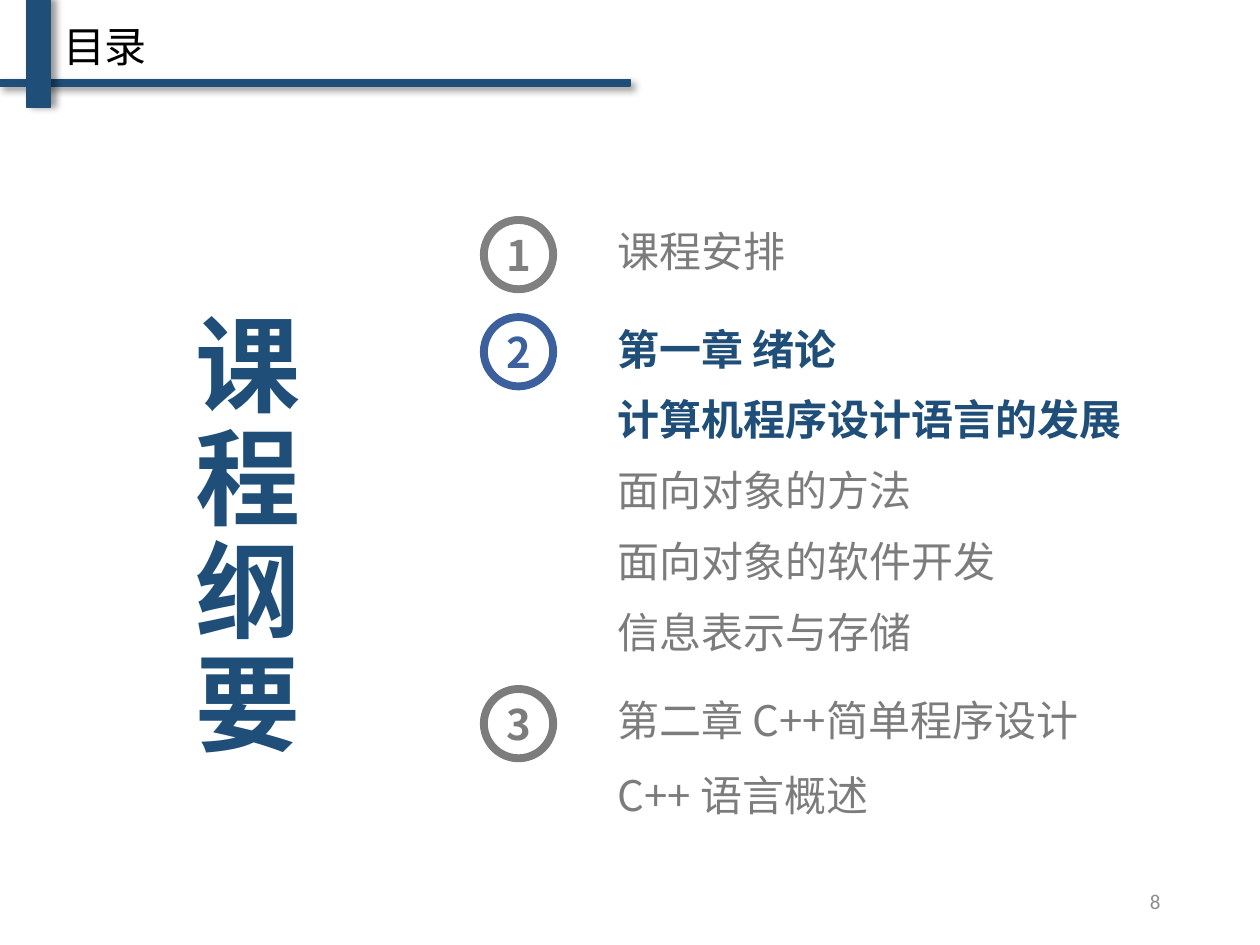
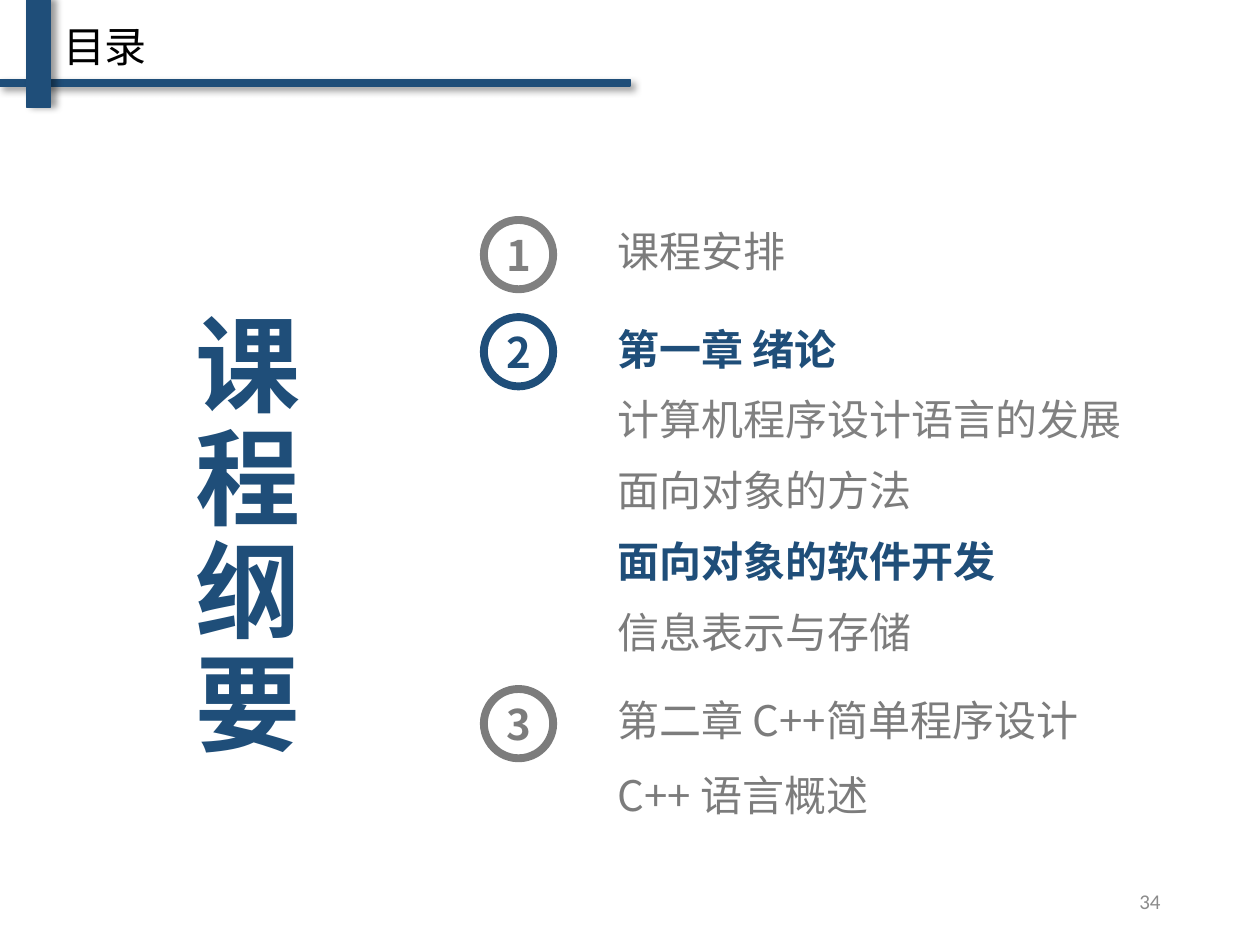
from dataclasses import dataclass

from lxml import etree
from pptx import Presentation
from pptx.dml.color import RGBColor
from pptx.enum import shapes, text
from pptx.oxml import ns
from pptx.util import Pt


@dataclass(frozen=True)
class Theme:
    navy: str = "1F4E79"
    blue: str = "3C609E"
    grey: str = "7C7C7C"
    mid_grey: str = "808080"
    page_grey: str = "8C8C8C"
    black: str = "000000"
    font: str = "Noto Sans CJK SC"
    page_font: str = "Calibri"
    heading_size: float = 60
    text_size: float = 24
    page_size: float = 12


THEME = Theme()


@dataclass(frozen=True)
class Box:
    left: float
    top: float
    width: float
    height: float

    def lengths(self) -> tuple:
        return Pt(self.left), Pt(self.top), Pt(self.width), Pt(self.height)


@dataclass(frozen=True)
class TextStyle:
    color: str
    size: float = THEME.text_size
    bold: bool = False
    font: str = THEME.font
    align: text.PP_ALIGN = text.PP_ALIGN.LEFT
    spacing: object = None


@dataclass(frozen=True)
class Band:
    box: Box
    line_width: float
    shadow_angle: int


@dataclass(frozen=True)
class Chapter:
    number: int
    top: float
    pitch: float
    lines: tuple[str, ...]


@dataclass(frozen=True)
class Agenda:
    page: int
    active_lines: tuple[str, ...]
    badge_colors: tuple[str, ...]
    mid_grey_lines: tuple[str, ...] = ()


BANDS = (
    Band(Box(0, 45.4, 360, 3.6), 1, 45),
    Band(Box(15, 0, 13.7, 61.2), 0.75, 0),
)
CHAPTERS = (
    Chapter(1, 123, 0, ("课程安排",)),
    Chapter(2, 178.5, 40.5, (
        "第一章 绪论", "计算机程序设计语言的发展", "面向对象的方法",
        "面向对象的软件开发", "信息表示与存储")),
    Chapter(3, 391, 42.5, ("第二章 C++简单程序设计", "C++ 语言概述")),
)
AGENDAS = (
    Agenda(8, ("第一章 绪论", "计算机程序设计语言的发展"),
           (THEME.mid_grey, THEME.blue, THEME.grey)),
    Agenda(34, ("第一章 绪论", "面向对象的软件开发"),
           (THEME.mid_grey, THEME.navy, THEME.grey),
           ("计算机程序设计语言的发展",)),
)
LINE_LEFT, LINE_WIDTH, LINE_HEIGHT = 345.6, 315.4, 44.6
BADGE_LEFT, BADGE_SIZE, BADGE_DROP = 276.5, 39.6, 2.7


def write(shape, words: str, style: TextStyle, anchor=text.MSO_ANCHOR.MIDDLE) -> None:
    frame = shape.text_frame
    frame.word_wrap = True
    frame.auto_size = text.MSO_AUTO_SIZE.NONE
    frame.vertical_anchor = anchor
    frame.text = words
    paragraph = frame.paragraphs[0]
    paragraph.alignment = style.align
    paragraph.line_spacing = style.spacing
    font = paragraph.font
    font.name = style.font
    font.size = Pt(style.size)
    font.bold = style.bold
    font.color.rgb = RGBColor.from_string(style.color)
    properties = paragraph._p.pPr.find(ns.qn("a:defRPr"))
    etree.SubElement(properties, ns.qn("a:ea"), typeface=style.font)


def add_text(slide, box: Box, words: str, style: TextStyle):
    shape = slide.shapes.add_textbox(*box.lengths())
    write(shape, words, style)
    return shape


def add_shadow(shape, angle: int) -> None:
    shape.shadow.inherit = False
    effects = shape._element.spPr.find(ns.qn("a:effectLst"))
    shadow = etree.SubElement(
        effects, ns.qn("a:outerShdw"), blurRad=str(Pt(4)), dist=str(Pt(3)),
        dir=str(angle * 60000), algn="tl", rotWithShape="0")
    color = etree.SubElement(shadow, ns.qn("a:srgbClr"), val=THEME.black)
    etree.SubElement(color, ns.qn("a:alpha"), val="40000")


def add_band(slide, band: Band) -> None:
    shape = slide.shapes.add_shape(shapes.MSO_SHAPE.RECTANGLE, *band.box.lengths())
    navy = RGBColor.from_string(THEME.navy)
    shape.fill.solid()
    shape.fill.fore_color.rgb = navy
    shape.line.color.rgb = navy
    shape.line.width = Pt(band.line_width)
    add_shadow(shape, band.shadow_angle)


def add_badge(slide, chapter: Chapter, color: str) -> None:
    """Draw the ringed chapter number."""
    box = Box(BADGE_LEFT, chapter.top + BADGE_DROP, BADGE_SIZE, BADGE_SIZE)
    shape = slide.shapes.add_shape(shapes.MSO_SHAPE.OVAL, *box.lengths())
    shape.shadow.inherit = False
    shape.fill.background()
    shape.line.color.rgb = RGBColor.from_string(color)
    shape.line.width = Pt(4.5)
    frame = shape.text_frame
    frame.margin_left = frame.margin_right = frame.margin_top = frame.margin_bottom = 0
    write(shape, str(chapter.number),
          TextStyle(color, bold=True, align=text.PP_ALIGN.CENTER))


def add_title(slide) -> None:
    title = slide.shapes.title
    title.left, title.top, title.width, title.height = Box(28.8, 11.5, 208, 36.7).lengths()
    title.text_frame.margin_top = 0
    write(title, "目录", TextStyle(THEME.black), text.MSO_ANCHOR.TOP)


def add_heading(slide) -> None:
    """Stack the large heading, one character to a line."""
    style = TextStyle(THEME.navy, THEME.heading_size, True,
                      align=text.PP_ALIGN.CENTER, spacing=Pt(64.5))
    heading = add_text(slide, Box(77.8, 131.8, 127.4, 342.7), "课程纲要", style)
    heading.text_frame.margin_top = Pt(12.6)


def line_style(agenda: Agenda, words: str) -> TextStyle:
    if words in agenda.active_lines:
        return TextStyle(THEME.navy, bold=True, spacing=0.9)
    is_mid_grey = words in agenda.mid_grey_lines
    return TextStyle(THEME.mid_grey if is_mid_grey else THEME.grey, spacing=0.9)


def add_agenda(presentation, agenda: Agenda) -> None:
    slide = presentation.slides.add_slide(presentation.slide_layouts[5])
    for band in BANDS:
        add_band(slide, band)
    add_title(slide)
    add_heading(slide)
    for chapter, badge_color in zip(CHAPTERS, agenda.badge_colors):
        add_badge(slide, chapter, badge_color)
        for index, words in enumerate(chapter.lines):
            box = Box(LINE_LEFT, chapter.top + index * chapter.pitch,
                      LINE_WIDTH, LINE_HEIGHT)
            add_text(slide, box, words, line_style(agenda, words))
    add_text(slide, Box(508.3, 500.4, 162, 28.8), str(agenda.page),
             TextStyle(THEME.page_grey, THEME.page_size, font=THEME.page_font,
                       align=text.PP_ALIGN.RIGHT))


def main() -> None:
    presentation = Presentation()
    presentation.slide_width, presentation.slide_height = Pt(720), Pt(540)
    for agenda in AGENDAS:
        add_agenda(presentation, agenda)
    presentation.save("out.pptx")


if __name__ == "__main__":
    main()
